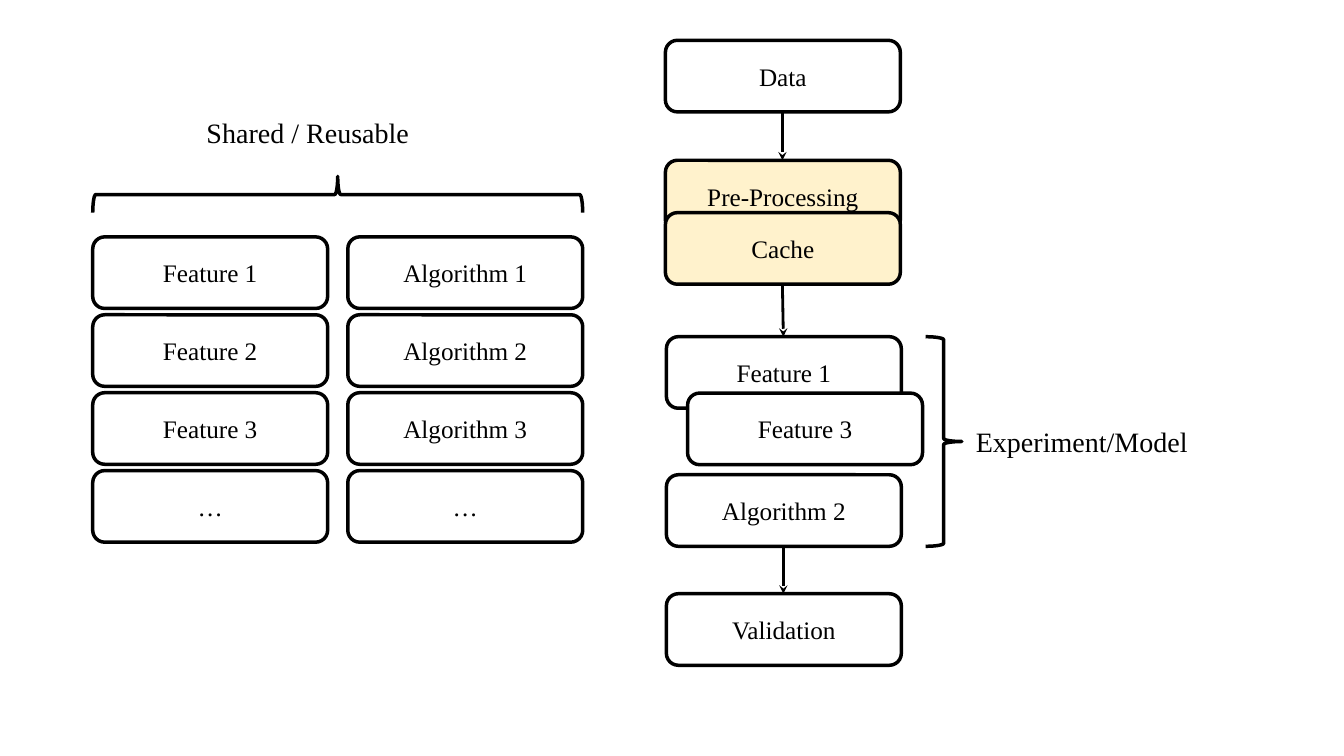
from lxml.etree import SubElement
from pptx import Presentation
from pptx.dml.color import RGBColor
from pptx.enum.shapes import MSO_CONNECTOR as Link, MSO_SHAPE as Shape
from pptx.enum.text import MSO_ANCHOR as Anchor, MSO_AUTO_SIZE as Fit, PP_ALIGN as Align
from pptx.oxml.ns import qn
from pptx.util import Inches, Pt

FONT = "Times New Roman"
BLACK, WHITE, CREAM = "000000", "FFFFFF", "FFF2CC"
BOX_W, BOX_H = 2.33, 0.71
STACK_TOP, STACK_STEP = 2.35, 0.773
STACKS = {
    0.92: ["Feature 1", "Feature 2", "Feature 3", "…"],
    3.45: ["Algorithm 1", "Algorithm 2", "Algorithm 3", "…"],
}
FLOW = [
    ("Data", 6.6, 0.4, WHITE),
    ("Pre-Processing", 6.6, 1.59, CREAM),
    ("Cache", 6.6, 2.11, CREAM),
    ("Feature 1", 6.61, 3.34, WHITE),
    ("Feature 3", 6.82, 3.9, WHITE),
    ("Algorithm 2", 6.61, 4.71, WHITE),
    ("Validation", 6.61, 5.89, WHITE),
]
ARROWS = [
    (7.76, 1.1, 7.76, 1.59),
    (7.76, 2.82, 7.77, 3.34),
    (7.77, 5.41, 7.77, 5.89),
]


def color(code):
    """Turn a hex string into a colour."""
    return RGBColor.from_string(code)


def style(para, size):
    """Set the font of a paragraph."""
    para.font.name = FONT
    para.font.size = Pt(size)
    para.font.color.rgb = color(BLACK)


def outline(item, width):
    """Give a shape or connector a black line."""
    item.line.color.rgb = color(BLACK)
    item.line.width = Pt(width)


def add_box(slide, text, left, top, fill=WHITE):
    """Add a rounded box with centred text."""
    box = slide.shapes.add_shape(Shape.ROUNDED_RECTANGLE, Inches(left), Inches(top),
                                 Inches(BOX_W), Inches(BOX_H))
    box.shadow.inherit = False
    box.fill.solid()
    box.fill.fore_color.rgb = color(fill)
    outline(box, 2.5)
    frame = box.text_frame
    frame.vertical_anchor = Anchor.MIDDLE
    frame.text = text
    para = frame.paragraphs[0]
    para.alignment = Align.CENTER
    style(para, 18)


def add_brace(slide, left, top, height, turn=0):
    """Add a right brace, turned by some degrees."""
    brace = slide.shapes.add_shape(Shape.RIGHT_BRACE, Inches(left), Inches(top),
                                   Inches(0.36), Inches(height))
    brace.shadow.inherit = False
    brace.fill.background()
    brace.rotation = turn
    outline(brace, 2.5)


def add_label(slide, text, left, top, width):
    """Add a one-line label."""
    label = slide.shapes.add_textbox(Inches(left), Inches(top), Inches(width), Inches(0.44))
    frame = label.text_frame
    frame.word_wrap = False
    frame.auto_size = Fit.SHAPE_TO_FIT_TEXT
    frame.text = text
    style(frame.paragraphs[0], 20)


def add_arrow(slide, *ends):
    """Add a straight arrow from x1, y1 to x2, y2."""
    arrow = slide.shapes.add_connector(Link.STRAIGHT, *map(Inches, ends))
    outline(arrow, 2)
    SubElement(arrow.line._get_or_add_ln(), qn("a:tailEnd"), type="stealth")
    SubElement(arrow._element.spPr, qn("a:effectLst"))


def main():
    """Build the slide and save it."""
    deck = Presentation()
    deck.slide_width, deck.slide_height = Inches(13.33), Inches(7.5)
    slide = deck.slides.add_slide(deck.slide_layouts[6])

    for left, names in STACKS.items():
        for row, name in enumerate(names):
            add_box(slide, name, left, STACK_TOP + row * STACK_STEP)
    add_brace(slide, 3.17, -0.5, 4.86, 270)
    add_label(slide, "Shared / Reusable", 1.95, 1.1, 2.8)

    for step in FLOW:
        add_box(slide, *step)
    for ends in ARROWS:
        add_arrow(slide, *ends)
    add_brace(slide, 9.18, 3.34, 2.08)
    add_label(slide, "Experiment/Model", 9.58, 4.16, 2.98)

    deck.save("out.pptx")


main()
